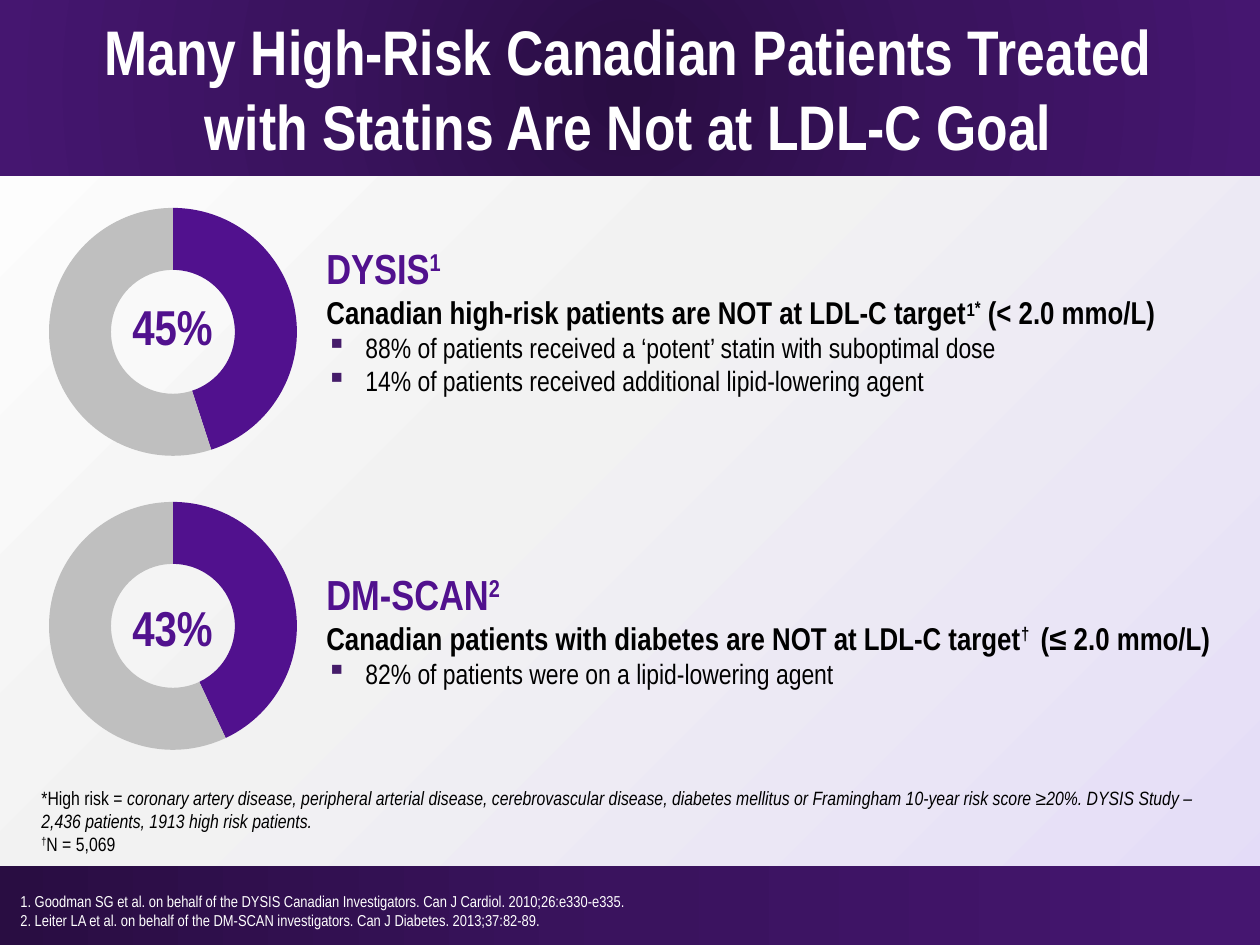
"""Build a slide on statin-treated Canadian patients who miss their LDL-C goal."""
import pptx
import pptx.chart.data
import pptx.dml.color
import pptx.enum.chart
import pptx.enum.shapes
import pptx.enum.text
import pptx.oxml
import pptx.oxml.ns
import pptx.util
from dataclasses import dataclass
from lxml import etree


@dataclass(frozen=True)
class Theme:
    font: str = "Arial Narrow"
    chart_font: str = "Arial"
    white: str = "FFFFFF"
    black: str = "000000"
    accent: str = "51118E"
    rest: str = "BFBFBF"
    bullet: str = "451C6A"
    band: tuple = ((0, "290D42"), (50, "3A135E"), (100, "451670"))
    page: tuple = ((0, "FFFFFF"), (44, "F2F2F2"), (100, "E4DCF8"))
    title: int = 36
    percent: int = 28
    study: int = 24
    finding: int = 18
    detail: int = 16
    note: int = 11
    reference: int = 9
    chart: int = 10


T = Theme()
EMU_PER_PX = 914400 // 126
PAGE_W, PAGE_H = 1260, 945
TITLE = "Many High-Risk Canadian Patients Treated with Statins Are Not at LDL-C Goal"
REFERENCES = [
    "1. Goodman SG et al. on behalf of the DYSIS Canadian Investigators. Can J Cardiol. 2010;26:e330-e335.",
    "2. Leiter LA et al. on behalf of the DM-SCAN investigators. Can J Diabetes. 2013;37:82-89.",
]
NOTES = [
    [("*High risk = ", {}),
     ("coronary artery disease, peripheral arterial disease, cerebrovascular disease, "
      "diabetes mellitus or Framingham 10-year risk score ≥20%. DYSIS Study – "
      "2,436 patients, 1913 high risk patients.", {"italic": True})],
    [("†", {"raised": 30}), ("N = 5,069", {})],
]
STUDIES = [
    {"name": "DYSIS", "ref": "1", "percent": 45,
     "finding": [("Canadian high-risk patients are NOT at LDL-C target", {}), ("1", {"raised": 24}),
                 ("*", {"raised": 30}), (" (< 2.0 mmo/L)", {})],
     "details": ["88% of patients received a ‘potent’ statin with suboptimal dose",
                 "14% of patients received additional lipid-lowering agent"],
     "text_box": (314, 236, 917, 229), "percent_top": 290},
    {"name": "DM-SCAN", "ref": "2", "percent": 43,
     "finding": [("Canadian patients with diabetes are NOT at LDL-C target", {}),
                 ("† ", {"raised": 30}), (" (≤ 2.0 mmo/L)", {})],
     "details": ["82% of patients were on a lipid-lowering agent"],
     "text_box": (314, 562, 935, 174), "percent_top": 591},
]
CHART_X, CHART_Y, CHART_W, CHART_H, CHART_STEP = -39, 192, 425, 284, 294
RING, RING_X, RING_Y = 248, 88, 16


def px(*values):
    return [pptx.util.Emu(v * EMU_PER_PX) for v in values]


def rgb(value):
    return pptx.dml.color.RGBColor.from_string(value)


def set_gradient(fill, host, stops, direction):
    fill.gradient()
    grad = host.find(".//" + pptx.oxml.ns.qn("a:gradFill"))
    gs = "".join(f'<a:gs pos="{pos * 1000}"><a:srgbClr val="{color}"/></a:gs>' for pos, color in stops)
    new = pptx.oxml.parse_xml(
        f'<a:gradFill {pptx.oxml.ns.nsdecls("a")} rotWithShape="1"><a:gsLst>{gs}</a:gsLst>{direction}</a:gradFill>')
    grad.getparent().replace(grad, new)


def add_band(s, y, h, direction):
    sp = s.shapes.add_shape(pptx.enum.shapes.MSO_SHAPE.RECTANGLE, *px(-2, y, PAGE_W + 2, h))
    sp.shadow.inherit = False
    sp.line.fill.background()
    set_gradient(sp.fill, sp._element, T.band, direction)


def add_bullet(p):
    pPr = p._p.get_or_add_pPr()
    indent = px(39)[0]
    pPr.set("marL", str(indent))
    pPr.set("indent", str(-indent))
    color = etree.SubElement(pPr, pptx.oxml.ns.qn("a:buClr"))
    etree.SubElement(color, pptx.oxml.ns.qn("a:srgbClr")).set("val", T.bullet)
    etree.SubElement(pPr, pptx.oxml.ns.qn("a:buChar")).set("char", "▪")


def add_text(s, box, paragraphs, center=False):
    tf = s.shapes.add_textbox(*px(*box)).text_frame
    tf.word_wrap = True
    for i, (runs, size, color, bold, bullet) in enumerate(paragraphs):
        p = tf.add_paragraph() if i else tf.paragraphs[0]
        if center:
            p.alignment = pptx.enum.text.PP_ALIGN.CENTER
        if bullet:
            add_bullet(p)
        for text, style in runs:
            r = p.add_run()
            r.text = text
            r.font.name, r.font.size, r.font.bold = T.font, pptx.util.Pt(size), bold
            r.font.italic = style.get("italic", False)
            r.font.color.rgb = rgb(color)
            if "raised" in style:
                r._r.get_or_add_rPr().set("baseline", str(style["raised"] * 1000))


def add_ring(s, y, percent):
    data = pptx.chart.data.CategoryChartData()
    data.categories = ["1", "2"]
    data.add_series("Series 1", (percent, 100 - percent))
    chart = s.shapes.add_chart(pptx.enum.chart.XL_CHART_TYPE.DOUGHNUT,
                               *px(CHART_X, y, CHART_W, CHART_H), data).chart
    chart.has_legend = chart.has_title = False
    chart.font.name, chart.font.size = T.chart_font, pptx.util.Pt(T.chart)
    chart.font.color.rgb = rgb(T.black)
    for i, color in enumerate((T.accent, T.rest)):
        point = chart.plots[0].series[0].points[i].format
        point.fill.solid()
        point.fill.fore_color.rgb = rgb(color)
        point.line.fill.background()
    chart_el = chart._chartSpace.find(pptx.oxml.ns.qn("c:chart"))
    chart_el.addnext(pptx.oxml.parse_xml(
        f'<c:spPr {pptx.oxml.ns.nsdecls("c", "a")}><a:noFill/><a:ln><a:noFill/></a:ln></c:spPr>'))
    area = chart_el.find(pptx.oxml.ns.qn("c:plotArea"))
    for old in area.findall(pptx.oxml.ns.qn("c:layout")):
        area.remove(old)
    layout = etree.Element(pptx.oxml.ns.qn("c:layout"))
    manual = etree.SubElement(layout, pptx.oxml.ns.qn("c:manualLayout"))
    settings = [("layoutTarget", "inner"), ("xMode", "edge"), ("yMode", "edge"),
                ("x", RING_X / CHART_W), ("y", RING_Y / CHART_H),
                ("w", RING / CHART_W), ("h", RING / CHART_H)]
    for tag, value in settings:
        etree.SubElement(manual, pptx.oxml.ns.qn("c:" + tag)).set("val", str(value))
    area.insert(0, layout)


def main():
    prs = pptx.Presentation()
    prs.slide_width, prs.slide_height = px(PAGE_W, PAGE_H)
    s = prs.slides.add_slide(prs.slide_layouts[6])
    set_gradient(s.background.fill, s._element, T.page, '<a:lin ang="2700000" scaled="0"/>')
    add_band(s, 866, 79, '<a:lin ang="0" scaled="0"/>')
    add_band(s, 0, 176, '<a:path path="circle"><a:fillToRect l="50000" t="50000" r="50000" b="50000"/></a:path>')
    add_text(s, (47, 6, 1163, 165), [([(TITLE, {})], T.title, T.white, True, False)], center=True)
    add_text(s, (8, 886, 1202, 50),
             [([(ref, {})], T.reference, T.white, False, False) for ref in REFERENCES])
    for study in STUDIES:
        heading = [(study["name"], {}), (study["ref"], {"raised": 30})]
        add_text(s, study["text_box"],
                 [(heading, T.study, T.accent, True, False),
                  (study["finding"], T.finding, T.black, True, False)]
                 + [([(d, {})], T.detail, T.black, False, True) for d in study["details"]])
        add_text(s, (116, study["percent_top"], 113, 72),
                 [([(f'{study["percent"]}%', {})], T.percent, T.accent, True, False)], center=True)
    add_text(s, (29, 780, 1202, 83), [(runs, T.note, T.black, False, False) for runs in NOTES])
    for i, study in enumerate(STUDIES):
        add_ring(s, CHART_Y + i * CHART_STEP, study["percent"])
    prs.save("out.pptx")


if __name__ == "__main__":
    main()
